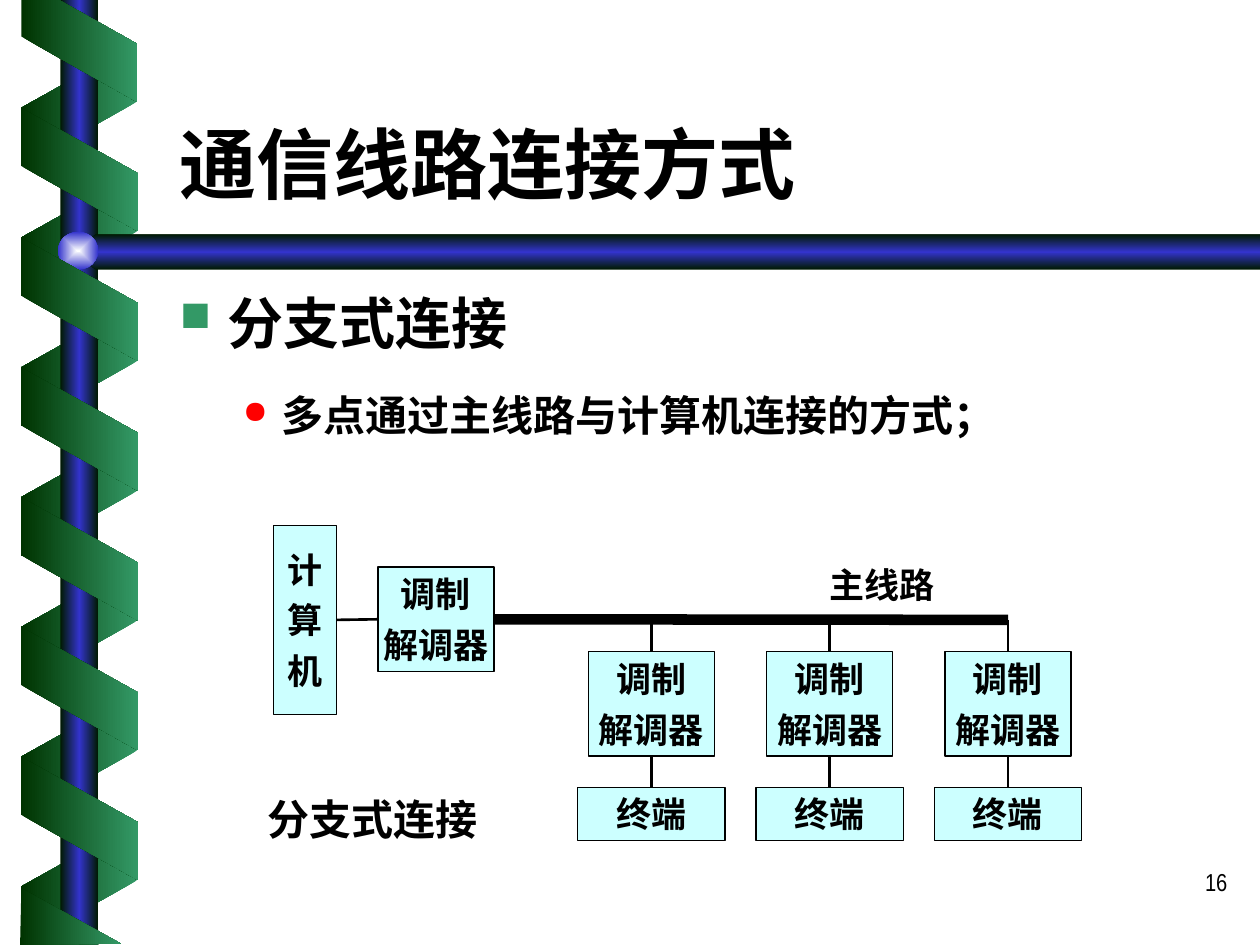
from pptx import Presentation
from pptx import util as u
from pptx.dml.color import RGBColor
from pptx.enum import shapes, text
from pptx.oxml import parse_xml
from pptx.oxml.ns import nsdecls, qn
from pptx.util import Inches

COLORS = {"ink": "000000", "box": "CCFFFF", "dark_green": "003300", "green": "339966",
          "blue": "3333CC", "navy": "001A00", "glow": "FEFFFF", "red": "FF0000"}
SERIF = "Times New Roman"
GREEN_RIBBON = ["dark_green", "green"]
BLUE_BAR = ["navy", "blue", "navy"]
MODEM = ["调制", "解调器"]
BUS_Y = 4.92
FIRST_X, LAST_X, BRANCHES = 5.17, 8, 3
RIBBON_STEP = 1.03


def rgb(name):
    return RGBColor.from_string(COLORS[name])


def fill_gradient(shape, names, angle=0, radial=False):
    """Spread the named colours evenly, at an angle or outwards from the centre."""
    stops = "".join(
        f'<a:gs pos="{100000 * i // (len(names) - 1)}"><a:srgbClr val="{COLORS[name]}"/></a:gs>'
        for i, name in enumerate(names))
    if radial:
        course = ('<a:path path="rect"><a:fillToRect l="50000" t="50000" '
                  'r="50000" b="50000"/></a:path>')
    else:
        course = f'<a:lin ang="{angle * 60000}" scaled="0"/>'
    shape.fill.background()
    no_fill = shape._element.spPr.find(qn("a:noFill"))
    no_fill.getparent().replace(no_fill, parse_xml(
        f'<a:gradFill {nsdecls("a")} rotWithShape="0"><a:gsLst>{stops}</a:gsLst>'
        f'{course}</a:gradFill>'))
    shape.line.fill.background()
    shape.shadow.inherit = False


def add_preset(slide, kind, left, top, width, height):
    return slide.shapes.add_shape(kind, *map(Inches, (left, top, width, height)))


def add_outline(slide, points, names, angle=0):
    corners = [(Inches(x), Inches(y)) for x, y in points]
    builder = slide.shapes.build_freeform(*corners[0], scale=1.0)
    builder.add_line_segments(corners[1:], close=True)
    fill_gradient(builder.convert_to_shape(), names, angle)


def add_ribbon_turn(slide, top, behind):
    height = 0.92 if behind else 0.93
    turn = add_preset(slide, shapes.MSO_SHAPE.PARALLELOGRAM, 0.14, top, 0.98, height)
    turn.adjustments[0] = 0.56
    turn.rotation = 90 if behind else 270
    if behind:
        turn._element.spPr.xfrm.set("flipH", "1")
    fill_gradient(turn, GREEN_RIBBON[::-1] if behind else GREEN_RIBBON)


def add_decoration(slide):
    for i in range(7):
        add_ribbon_turn(slide, 0.37 + RIBBON_STEP * i, behind=True)
    pole = add_preset(slide, shapes.MSO_SHAPE.RECTANGLE, 0.48, 0, 0.3, 7.5)
    fill_gradient(pole, BLUE_BAR)
    add_outline(slide, [(10, 1.86), (0.76, 1.86), (0.6, 2), (0.76, 2.14), (10, 2.14)],
                BLUE_BAR, 90)
    knob = add_preset(slide, shapes.MSO_SHAPE.OVAL, 0.46, 1.84, 0.32, 0.3)
    fill_gradient(knob, ["glow", "blue"], radial=True)
    for i in range(6):
        add_ribbon_turn(slide, 0.88 + RIBBON_STEP * i, behind=False)
    add_outline(slide, [(0.17, 0), (0.17, 0.29), (1.09, 0.81), (1.09, 0.35), (0.47, 0)],
                GREEN_RIBBON)
    add_outline(slide, [(0.96, 7.49), (0.17, 7.05), (0.16, 7.5)], GREEN_RIBBON)


def write(shape, lines, size, align="LEFT", anchor="TOP", wrap=True, font=SERIF, bold=True):
    frame = shape.text_frame
    frame.word_wrap = wrap
    frame.vertical_anchor = getattr(text.MSO_ANCHOR, anchor)
    style = {"size": u.Pt(size), "name": font, "bold": bold}
    for i, line in enumerate(lines):
        paragraph = frame.add_paragraph() if i else frame.paragraphs[0]
        paragraph.alignment = getattr(text.PP_ALIGN, align)
        if i:
            paragraph.space_before = u.Pt(5)
        run = paragraph.add_run()
        run.text = line
        for key, value in style.items():
            setattr(run.font, key, value)
        run.font.color.rgb = rgb("ink")


def add_label(slide, place, line, size, **style):
    label = slide.shapes.add_textbox(*map(Inches, place))
    write(label, [line], size, **style)
    return label.text_frame.paragraphs[0]


def add_bullet(paragraph, char, color, margin, indent):
    props = paragraph._p.get_or_add_pPr()
    props.set("marL", str(Inches(margin)))
    props.set("indent", str(Inches(indent)))
    for item in (f'<a:buClr {nsdecls("a")}><a:srgbClr val="{COLORS[color]}"/></a:buClr>',
                 f'<a:buSzPct {nsdecls("a")} val="75000"/>',
                 f'<a:buChar {nsdecls("a")} char="{char}"/>'):
        props.append(parse_xml(item))


def add_box(slide, place, lines):
    box = add_preset(slide, shapes.MSO_SHAPE.RECTANGLE, *place)
    box.shadow.inherit = False
    box.fill.solid()
    box.fill.fore_color.rgb = rgb("box")
    box.line.color.rgb = rgb("ink")
    box.line.width = u.Pt(0.75)
    write(box, lines, 20, align="CENTER", anchor="MIDDLE", wrap=False)
    return box


def add_wire(slide, start, end, begin=None, finish=None, width=1.5):
    """Draw a line; begin and finish are (box, side) pairs to join."""
    wire = slide.shapes.add_connector(shapes.MSO_CONNECTOR.STRAIGHT,
                                      *map(Inches, (*start, *end)))
    wire.line.color.rgb = rgb("ink")
    wire.line.width = u.Pt(width)
    wire._element.spPr.append(parse_xml(f'<a:effectLst {nsdecls("a")}/>'))
    if begin:
        wire.begin_connect(*begin)
    if finish:
        wire.end_connect(*finish)


def add_branch(slide, x):
    terminal = add_box(slide, (x - 0.585, 6.25, 1.17, 0.42), ["终端"])
    modem = add_box(slide, (x - 0.5, 5.17, 1, 0.83), MODEM)
    add_wire(slide, (x, 5.17), (x, BUS_Y), begin=(modem, 0))
    add_wire(slide, (x, 6.25), (x, 6), begin=(terminal, 0), finish=(modem, 2))


def add_network(slide):
    computer = add_box(slide, (2.17, 4.17, 0.5, 1.5), list("计算机"))
    modem = add_box(slide, (3, 4.5, 0.92, 0.83), MODEM)
    add_wire(slide, (2.67, BUS_Y), (3, BUS_Y), begin=(computer, 3), finish=(modem, 1))
    add_wire(slide, (3.92, BUS_Y), (LAST_X, BUS_Y), begin=(modem, 3), width=6)
    pitch = (LAST_X - FIRST_X) / (BRANCHES - 1)
    for i in range(BRANCHES):
        add_branch(slide, FIRST_X + pitch * i)
    add_label(slide, (6.25, 4.42, 1.5, 0.44), "主线路", 20, align="CENTER")
    add_label(slide, (1.67, 6.25, 2.58, 0.5), "分支式连接", 24, align="CENTER")


def main():
    deck = Presentation()
    deck.slide_width, deck.slide_height = Inches(10), Inches(7.5)
    slide = deck.slides.add_slide(deck.slide_layouts[6])
    add_decoration(slide)
    add_label(slide, (7.76, 6.83, 2.08, 0.5), "16", 14, align="RIGHT",
              font="Arial Narrow", bold=False)
    add_label(slide, (1.33, 0.46, 8.5, 1.25), "通信线路连接方式", 44, anchor="BOTTOM")
    topic = add_label(slide, (1.33, 2.24, 8.5, 0.76), "分支式连接", 32)
    add_bullet(topic, "■", "green", 0.38, -0.38)
    detail = add_label(slide, (1.33, 2.92, 8.5, 0.83),
                       "多点通过主线路与计算机连接的方式；", 24, align="JUSTIFY")
    detail.level = 1
    detail.line_spacing = 1.3
    add_bullet(detail, "●", "red", 0.81, -0.31)
    add_network(slide)
    deck.save("out.pptx")


if __name__ == "__main__":
    main()
